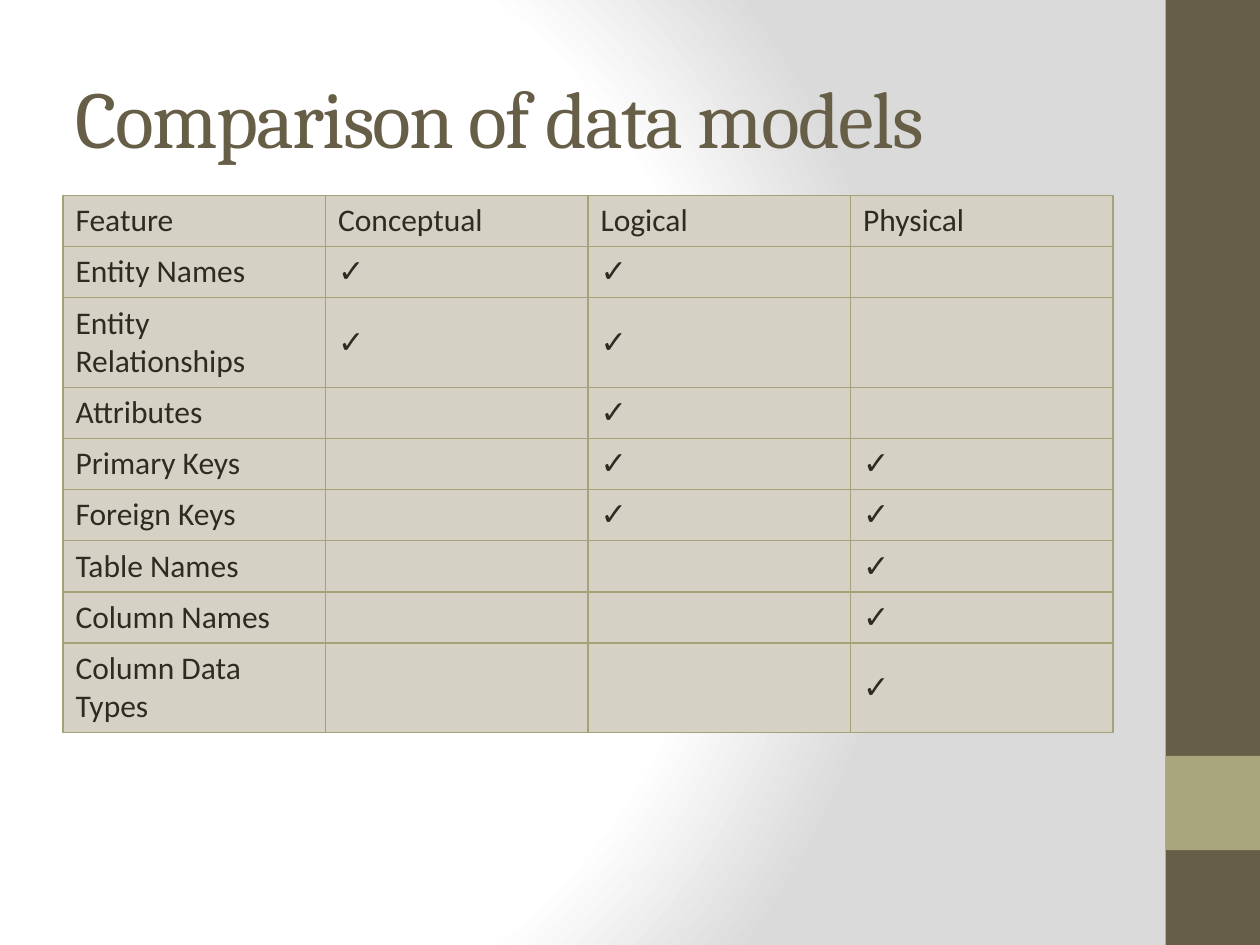
import lxml.etree
import pptx
import pptx.dml.color
import pptx.enum.shapes
import pptx.enum.text
import pptx.oxml
import pptx.oxml.ns
import pptx.util

Cm = pptx.util.Cm
Pt = pptx.util.Pt
RGBColor = pptx.dml.color.RGBColor
qn = pptx.oxml.ns.qn

BROWN = RGBColor(0x67, 0x5E, 0x47)
OLIVE = RGBColor(0xA9, 0xA5, 0x7C)
INK = RGBColor(0x2F, 0x2B, 0x20)
CELL = RGBColor(0xD5, 0xD2, 0xC5)
BORDER = RGBColor(0xA6, 0xA2, 0x78)
WHITE = RGBColor(0xFF, 0xFF, 0xFF)
GREY = RGBColor(0xDA, 0xDA, 0xDA)

CHECK = "✓"
MODELS = ("Conceptual", "Logical", "Physical")
FEATURES = (
    ("Entity Names", ("Conceptual", "Logical")),
    ("Entity Relationships", ("Conceptual", "Logical")),
    ("Attributes", ("Logical",)),
    ("Primary Keys", ("Logical", "Physical")),
    ("Foreign Keys", ("Logical", "Physical")),
    ("Table Names", ("Physical",)),
    ("Column Names", ("Physical",)),
    ("Column Data Types", ("Physical",)),
)
TWO_LINE_FEATURES = ("Entity Relationships", "Column Data Types")


def set_background(slide):
    """Fill the slide with a circular gradient centred left of the middle."""
    fill = slide.background.fill
    fill.gradient()
    stops = "".join(
        f'<a:gs pos="{percent * 1000}"><a:srgbClr val="{color}"/></a:gs>'
        for percent, color in ((0, WHITE), (75, WHITE), (100, GREY))
    )
    gradient = pptx.oxml.parse_xml(
        f'<a:gradFill {pptx.oxml.ns.nsdecls("a")} rotWithShape="1">'
        f"<a:gsLst>{stops}</a:gsLst>"
        '<a:path path="circle">'
        '<a:fillToRect l="20000" t="50000" r="100000" b="50000"/>'
        "</a:path></a:gradFill>"
    )
    old_gradient = next(slide.background._cSld.iter(qn("a:gradFill")))
    old_gradient.getparent().replace(old_gradient, gradient)


def add_side_band(slide, left, top, width, height):
    """Add the dark band with a square accent near its foot."""
    accent_top = top + int(height * 0.8)
    for block_top, block_height, color in (
        (top, height, BROWN),
        (accent_top, width, OLIVE),
    ):
        block = slide.shapes.add_shape(
            pptx.enum.shapes.MSO_SHAPE.RECTANGLE, left, block_top, width, block_height
        )
        block.shadow.inherit = False
        block.fill.solid()
        block.fill.fore_color.rgb = color
        block.line.fill.background()


def format_paragraph(paragraph, font_name, size, color):
    paragraph.alignment = pptx.enum.text.PP_ALIGN.LEFT
    for run in paragraph.runs:
        run.font.name = font_name
        run.font.size = Pt(size)
        run.font.color.rgb = color


def place_title(slide, left, top, width, height):
    title = slide.shapes.title
    title.left, title.top, title.width, title.height = left, top, width, height
    text_frame = title.text_frame
    text_frame.text = "Comparison of data models"
    text_frame.auto_size = pptx.enum.text.MSO_AUTO_SIZE.NONE
    text_frame.vertical_anchor = pptx.enum.text.MSO_ANCHOR.MIDDLE
    paragraph = text_frame.paragraphs[0]
    format_paragraph(paragraph, "Cambria", 46, BROWN)
    paragraph.runs[0].font._element.set("spc", "-100")


def add_borders(cell):
    properties = cell._tc.get_or_add_tcPr()
    for index, side in enumerate(("a:lnL", "a:lnR", "a:lnT", "a:lnB")):
        line = lxml.etree.Element(qn(side), w=str(Pt(1)))
        fill = lxml.etree.SubElement(line, qn("a:solidFill"))
        lxml.etree.SubElement(fill, qn("a:srgbClr"), val=str(BORDER))
        properties.insert(index, line)


def add_comparison_table(slide, left, top, width, row_height, tall_row_height):
    rows = [("Feature", *MODELS)]
    for feature, models in FEATURES:
        rows.append((feature, *(CHECK if model in models else "" for model in MODELS)))
    heights = [
        tall_row_height if row[0] in TWO_LINE_FEATURES else row_height for row in rows
    ]
    table = slide.shapes.add_table(
        len(rows), len(rows[0]), left, top, width, sum(heights)
    ).table
    table.first_row = False
    table.horz_banding = False
    for row_index, values in enumerate(rows):
        table.rows[row_index].height = heights[row_index]
        for column_index, value in enumerate(values):
            cell = table.cell(row_index, column_index)
            cell.vertical_anchor = pptx.enum.text.MSO_ANCHOR.MIDDLE
            cell.fill.solid()
            cell.fill.fore_color.rgb = CELL
            add_borders(cell)
            if value:
                cell.text_frame.text = value
                format_paragraph(cell.text_frame.paragraphs[0], "Calibri", 18, INK)


def main():
    presentation = pptx.Presentation()
    presentation.slide_width = Cm(25.4)
    presentation.slide_height = Cm(19.05)
    slide = presentation.slides.add_slide(
        presentation.slide_layouts.get_by_name("Title Only")
    )
    set_background(slide)
    add_side_band(slide, Cm(23.5), Cm(0), Cm(1.9), presentation.slide_height)
    place_title(slide, Cm(1.27), Cm(0.76), Cm(21.17), Cm(3.18))
    add_comparison_table(slide, Cm(1.27), Cm(3.94), Cm(21.17), Cm(1.03), Cm(1.81))
    presentation.save("out.pptx")


if __name__ == "__main__":
    main()
